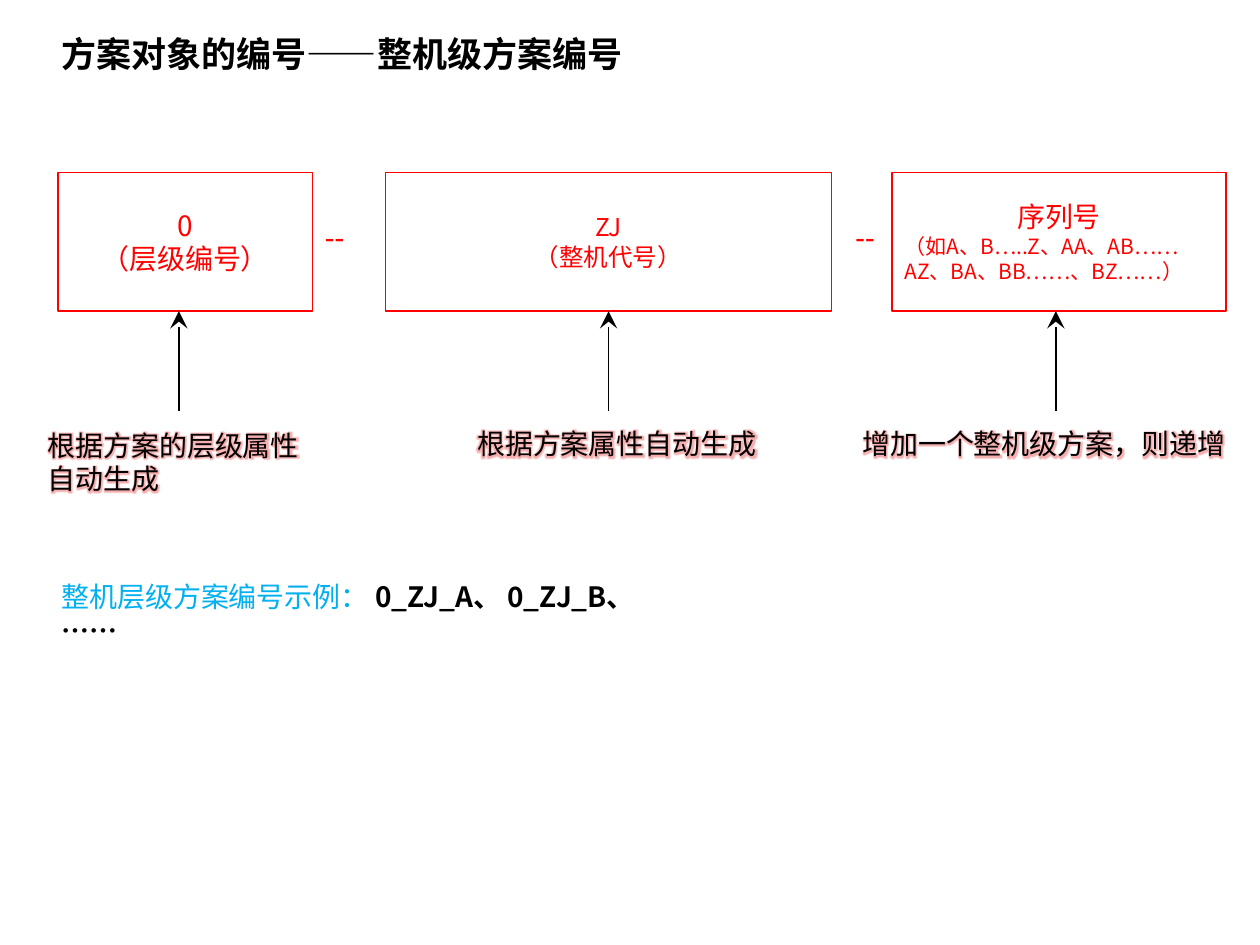
from lxml.etree import SubElement
from pptx import Presentation
from pptx.dml.color import RGBColor
from pptx.enum.lang import MSO_LANGUAGE_ID as Language
from pptx.enum.shapes import MSO_CONNECTOR as Connector, MSO_SHAPE as Shape
from pptx.enum.text import MSO_ANCHOR as Anchor, MSO_AUTO_SIZE as AutoSize, PP_ALIGN as Align
from pptx.oxml import parse_xml
from pptx.oxml.ns import nsdecls, qn
from pptx.util import Inches, Pt

WIDTH, HEIGHT = Inches(10), Inches(7.5)
COLUMN, ROW = WIDTH / 100, HEIGHT / 75
CJK = "Noto Sans CJK SC"
RED, BLACK, WHITE, BLUE, PINK = "FF0000", "000000", "FFFFFF", "00B0F0", "E84C4C"


def color(value):
    return RGBColor.from_string(value)


def place(box):
    left, top, width, height = box
    return [round(n) for n in (left * COLUMN, top * ROW, width * COLUMN, height * ROW)]


def write(paragraph, text, size=16, font=CJK, fill=BLACK, bold=False, align=Align.LEFT, glow=False):
    paragraph.alignment = align
    run = paragraph.add_run()
    run.text = text
    run.font.size, run.font.bold, run.font.name = Pt(size), bold, font
    run.font.language_id = Language.SIMPLIFIED_CHINESE
    run.font.color.rgb = color(fill)
    properties = run.font._element
    SubElement(properties, qn("a:ea")).set("typeface", font)
    if glow:
        properties.find(qn("a:solidFill")).addnext(parse_xml(
            f'<a:effectLst {nsdecls("a")}><a:glow rad="63500"><a:srgbClr val="{PINK}">'
            '<a:alpha val="45000"/></a:srgbClr></a:glow></a:effectLst>'))


def add_label(slide, box, *parts):
    frame = slide.shapes.add_textbox(*place(box)).text_frame
    frame.word_wrap = True
    frame.auto_size = AutoSize.SHAPE_TO_FIT_TEXT
    for text, options in parts:
        write(frame.paragraphs[0], text, **options)


def add_code_box(slide, box, lines):
    shape = slide.shapes.add_shape(Shape.RECTANGLE, *place(box))
    shape.shadow.inherit = False
    shape.fill.solid()
    shape.fill.fore_color.rgb = color(WHITE)
    shape.line.color.rgb = color(RED)
    shape.line.width = Pt(0.75)
    frame = shape.text_frame
    frame.word_wrap = True
    frame.vertical_anchor = Anchor.MIDDLE
    for index, (text, size, align) in enumerate(lines):
        paragraph = frame.add_paragraph() if index else frame.paragraphs[0]
        write(paragraph, text, size=size, fill=RED, align=align)


def add_arrow(slide, box):
    left, top, width, height = place(box)
    arrow = slide.shapes.add_connector(Connector.STRAIGHT, left, top + height, left + width, top)
    arrow.line.color.rgb = color(BLACK)
    arrow.line.width = Pt(0.75)
    head = SubElement(arrow.line._get_or_add_ln(), qn("a:tailEnd"))
    for key, value in (("type", "stealth"), ("w", "lg"), ("len", "lg")):
        head.set(key, value)
    SubElement(arrow._element.spPr, qn("a:effectLst"))


def add_segment(slide, box, lines, arrow_left, note, note_box, note_align=Align.LEFT):
    left, top, width, height = box
    add_code_box(slide, box, lines)
    add_arrow(slide, (arrow_left, top + height, 0, 7.9))
    add_label(slide, note_box, (note, dict(align=note_align, glow=True)))


def add_scheme(slide, box):
    left, top, width, height = box
    center = Align.CENTER
    segments = [
        (0, 20.2, [("0", 16, center), ("（层级编号）", 16, center)],
         14.2, "根据方案的层级属性自动生成", (2.8, 33.5, 23.9, 6.4)),
        (26, 35.4, [("ZJ", 14, center), ("（整机代号）", 14, center)],
         48.3, "根据方案属性自动生成", (36.9, 33.4, 26, 3.7)),
        (66.2, width - 66.2,
         [("序列号", 16, center), ("（如A、B…..Z、AA、AB……AZ、BA、BB……、BZ……）", 12, Align.LEFT)],
         83.8, "增加一个整机级方案，则递增", (65.9, 33.4, 33.9, 3.7), center),
    ]
    for offset, span, *details in segments:
        add_segment(slide, (left + offset, top, span, height), *details)
    for offset in (20.2, 62.3):
        add_label(slide, (left + offset, top + 3.1, 3.9, 4),
                  ("--", dict(size=18, font="Calibri", fill=RED)))


def main():
    presentation = Presentation()
    presentation.slide_width, presentation.slide_height = WIDTH, HEIGHT
    slide = presentation.slides.add_slide(presentation.slide_layouts[6])
    add_label(slide, (3.9, 2.1, 86.3, 4.4),
              ("方案对象的编号——整机级方案编号", dict(size=20, bold=True)))
    add_scheme(slide, (4.6, 13.7, 92.7, 11))
    add_label(slide, (3.9, 45.5, 51.8, 3.7),
              ("整机层级方案编号示例： ", dict(fill=BLUE)),
              ("0_ZJ_A、 0_ZJ_B、……", dict(bold=True)))
    presentation.save("out.pptx")


if __name__ == "__main__":
    main()
